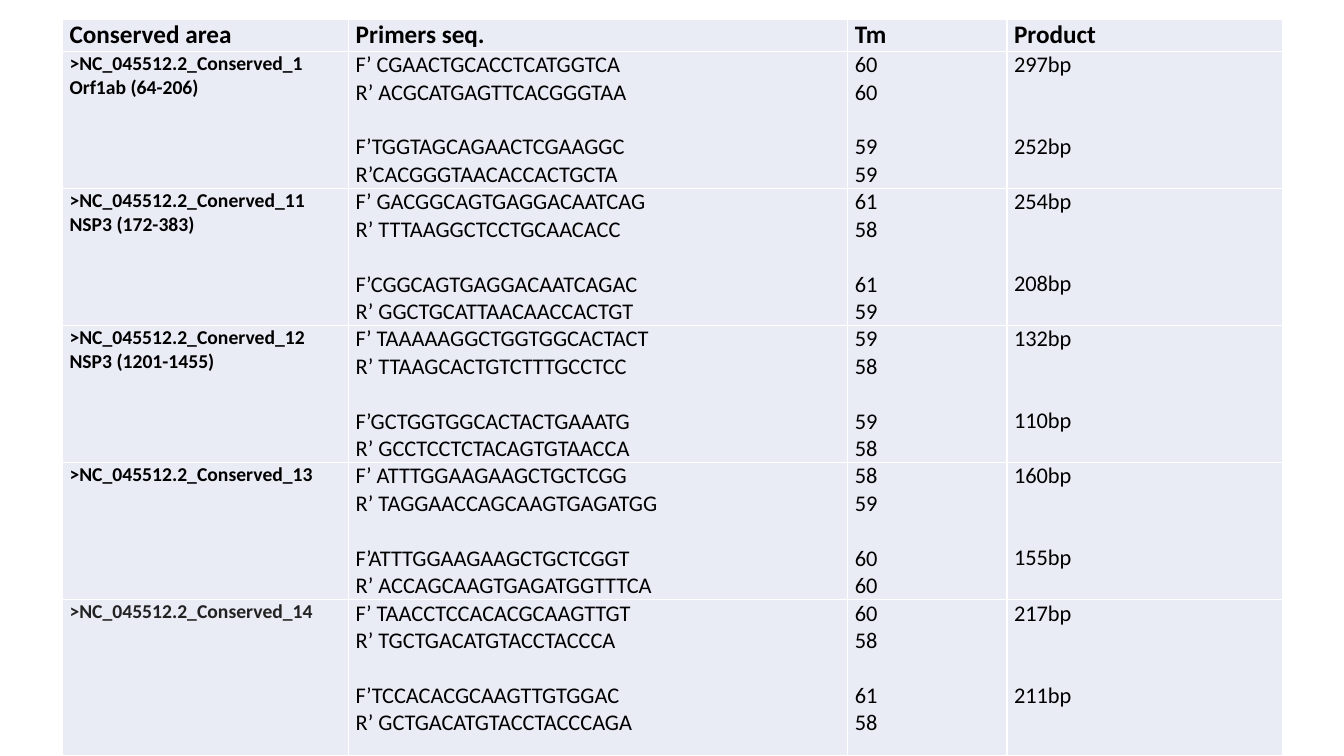
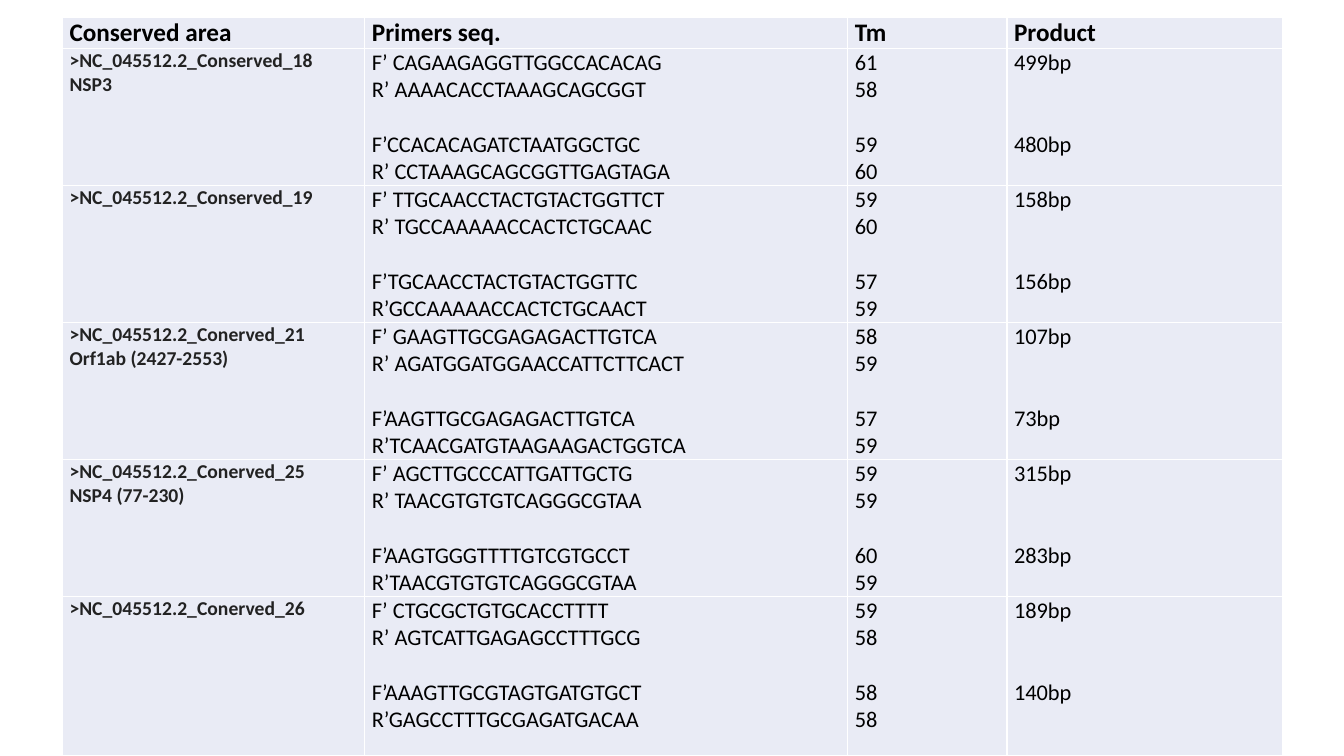
"""Builds two slides of primer tables for conserved genome areas."""
from dataclasses import dataclass

from lxml import etree
from pptx import Presentation
from pptx import util as u
from pptx.dml.color import RGBColor
from pptx.enum import text

SLIDE_WIDTH, SLIDE_HEIGHT = u.Inches(13.33), u.Inches(7.5)
COLOURS = {"ink": "000000", "soft_ink": "222222", "cell": "E9EBF5", "border": "FFFFFF"}
FONT = "Calibri"
HEADINGS = ("Conserved area", "Primers seq.", "Tm", "Product")
HEADING_SIZE, AREA_SIZE, BODY_SIZE = 18, 14, 16
BODY_LINE = BODY_SIZE * 1.22
TABLE_LEFT = 0.0465
HEADING_HEIGHT, AREA_HEIGHT = 0.042, 0.1813
CELL_MARGIN = u.Inches(0.07)
DRAWING_NS = "http://schemas.openxmlformats.org/drawingml/2006/main"


@dataclass(frozen=True)
class PrimerPair:
    """A forward and reverse primer with melting points and product size."""
    forward: str
    reverse: str
    melting: tuple[int, int]
    product: str


@dataclass(frozen=True)
class Area:
    """A conserved area with its two primer pairs."""
    label: tuple[str, ...]
    pairs: tuple[PrimerPair, PrimerPair]
    colour: str = "soft_ink"


@dataclass(frozen=True)
class TablePage:
    """A table page; top and columns are shares of the slide's size."""
    top: float
    columns: tuple[float, ...]
    areas: tuple[Area, ...]


@dataclass(frozen=True)
class Line:
    """A line of cell text and the number of open lines above it."""
    words: str
    gap: int = 0


@dataclass(frozen=True)
class Style:
    """The look of the text in a cell."""
    size: int
    bold: bool = False
    colour: str = "ink"


PAGES = (
    TablePage(0.0262, (0.213, 0.3713, 0.1185, 0.2048), (
        Area((">NC_045512.2_Conserved_1", "Orf1ab (64-206)"), (
            PrimerPair("F’ CGAACTGCACCTCATGGTCA", "R’ ACGCATGAGTTCACGGGTAA", (60, 60), "297bp"),
            PrimerPair("F’TGGTAGCAGAACTCGAAGGC", "R’CACGGGTAACACCACTGCTA", (59, 59), "252bp"),
        ), "ink"),
        Area((">NC_045512.2_Conerved_11", "NSP3 (172-383)"), (
            PrimerPair("F’ GACGGCAGTGAGGACAATCAG", "R’ TTTAAGGCTCCTGCAACACC", (61, 58), "254bp"),
            PrimerPair("F’CGGCAGTGAGGACAATCAGAC", "R’ GGCTGCATTAACAACCACTGT", (61, 59), "208bp"),
        ), "ink"),
        Area((">NC_045512.2_Conerved_12", "NSP3 (1201-1455)"), (
            PrimerPair("F’ TAAAAAGGCTGGTGGCACTACT", "R’ TTAAGCACTGTCTTTGCCTCC", (59, 58), "132bp"),
            PrimerPair("F’GCTGGTGGCACTACTGAAATG", "R’ GCCTCCTCTACAGTGTAACCA", (59, 58), "110bp"),
        ), "ink"),
        Area((">NC_045512.2_Conserved_13",), (
            PrimerPair("F’ ATTTGGAAGAAGCTGCTCGG", "R’ TAGGAACCAGCAAGTGAGATGG", (58, 59), "160bp"),
            PrimerPair("F’ATTTGGAAGAAGCTGCTCGGT", "R’ ACCAGCAAGTGAGATGGTTTCA", (60, 60), "155bp"),
        ), "ink"),
        Area((">NC_045512.2_Conserved_14",), (
            PrimerPair("F’ TAACCTCCACACGCAAGTTGT", "R’ TGCTGACATGTACCTACCCA", (60, 58), "217bp"),
            PrimerPair("F’TCCACACGCAAGTTGTGGAC", "R’ GCTGACATGTACCTACCCAGA", (61, 58), "211bp"),
        )),
    )),
    TablePage(0.0225, (0.225, 0.3593, 0.1185, 0.2048), (
        Area((">NC_045512.2_Conserved_18", "NSP3"), (
            PrimerPair("F’ CAGAAGAGGTTGGCCACACAG", "R’ AAAACACCTAAAGCAGCGGT", (61, 58), "499bp"),
            PrimerPair("F’CCACACAGATCTAATGGCTGC", "R’ CCTAAAGCAGCGGTTGAGTAGA", (59, 60), "480bp"),
        )),
        Area((">NC_045512.2_Conserved_19",), (
            PrimerPair("F’ TTGCAACCTACTGTACTGGTTCT", "R’ TGCCAAAAACCACTCTGCAAC", (59, 60), "158bp"),
            PrimerPair("F’TGCAACCTACTGTACTGGTTC", "R’GCCAAAAACCACTCTGCAACT", (57, 59), "156bp"),
        )),
        Area((">NC_045512.2_Conerved_21", "Orf1ab (2427-2553)"), (
            PrimerPair("F’ GAAGTTGCGAGAGACTTGTCA", "R’ AGATGGATGGAACCATTCTTCACT", (58, 59), "107bp"),
            PrimerPair("F’AAGTTGCGAGAGACTTGTCA", "R’TCAACGATGTAAGAAGACTGGTCA", (57, 59), "73bp"),
        )),
        Area((">NC_045512.2_Conerved_25", "NSP4 (77-230)"), (
            PrimerPair("F’ AGCTTGCCCATTGATTGCTG", "R’ TAACGTGTGTCAGGGCGTAA", (59, 59), "315bp"),
            PrimerPair("F’AAGTGGGTTTTGTCGTGCCT", "R’TAACGTGTGTCAGGGCGTAA", (60, 59), "283bp"),
        )),
        Area((">NC_045512.2_Conerved_26",), (
            PrimerPair("F’ CTGCGCTGTGCACCTTTT", "R’ AGTCATTGAGAGCCTTTGCG", (59, 58), "189bp"),
            PrimerPair("F’AAAGTTGCGTAGTGATGTGCT", "R’GAGCCTTTGCGAGATGACAA", (58, 58), "140bp"),
        )),
    )),
)


def add_borders(cell) -> None:
    """Draws a thin line on each side of a cell."""
    properties = cell._tc.get_or_add_tcPr()
    for side in ("lnL", "lnR", "lnT", "lnB"):
        border = etree.SubElement(properties, f"{{{DRAWING_NS}}}{side}", w=str(u.Pt(1)))
        fill = etree.SubElement(border, f"{{{DRAWING_NS}}}solidFill")
        etree.SubElement(fill, f"{{{DRAWING_NS}}}srgbClr", val=COLOURS["border"])


def fill_cell(cell, lines: list[Line], style: Style) -> None:
    """Styles a cell and writes its lines as paragraphs."""
    add_borders(cell)
    cell.fill.solid()
    cell.fill.fore_color.rgb = RGBColor.from_string(COLOURS["cell"])
    cell.margin_left = cell.margin_right = CELL_MARGIN
    cell.margin_top = cell.margin_bottom = 0
    cell.vertical_anchor = text.MSO_ANCHOR.TOP
    frame = cell.text_frame
    for index, line in enumerate(lines):
        para = frame.add_paragraph() if index else frame.paragraphs[0]
        para.alignment = text.PP_ALIGN.LEFT
        if line.gap:
            para.space_before = u.Pt(round(line.gap * BODY_LINE, 1))
        span = para.add_run()
        span.text = line.words
        span.font.name = FONT
        span.font.size = u.Pt(style.size)
        span.font.bold = style.bold
        span.font.color.rgb = RGBColor.from_string(COLOURS[style.colour])


def area_columns(area: Area) -> list[list[Line]]:
    """Returns the lines of an area's four cells."""
    primers, melting, products = [], [], []
    for index, pair in enumerate(area.pairs):
        primers += [Line(pair.forward, index), Line(pair.reverse)]
        melting += [Line(str(pair.melting[0]), index), Line(str(pair.melting[1]))]
        products.append(Line(pair.product, 2 * index))
    return [[Line(words) for words in area.label], primers, melting, products]


def add_table_page(deck, layout: TablePage) -> None:
    """Adds a slide holding a table that runs to the bottom edge."""
    page = deck.slides.add_slide(deck.slide_layouts[6])
    heights = [HEADING_HEIGHT] + [AREA_HEIGHT] * (len(layout.areas) - 1)
    heights.append(1 - layout.top - sum(heights))
    table = page.shapes.add_table(
        len(heights), len(layout.columns),
        int(TABLE_LEFT * SLIDE_WIDTH), int(layout.top * SLIDE_HEIGHT),
        int(sum(layout.columns) * SLIDE_WIDTH), int(sum(heights) * SLIDE_HEIGHT),
    ).table
    table.first_row = table.horz_banding = False
    for column, share in zip(table.columns, layout.columns):
        column.width = int(share * SLIDE_WIDTH)
    for row, share in zip(table.rows, heights):
        row.height = int(share * SLIDE_HEIGHT)
    for column, heading in enumerate(HEADINGS):
        fill_cell(table.cell(0, column), [Line(heading)], Style(HEADING_SIZE, True))
    for row, area in enumerate(layout.areas, 1):
        for column, lines in enumerate(area_columns(area)):
            style = Style(BODY_SIZE) if column else Style(AREA_SIZE, True, area.colour)
            fill_cell(table.cell(row, column), lines, style)


def main() -> None:
    """Builds and saves the deck."""
    deck = Presentation()
    deck.slide_width, deck.slide_height = SLIDE_WIDTH, SLIDE_HEIGHT
    for layout in PAGES:
        add_table_page(deck, layout)
    deck.save("out.pptx")


if __name__ == "__main__":
    main()
